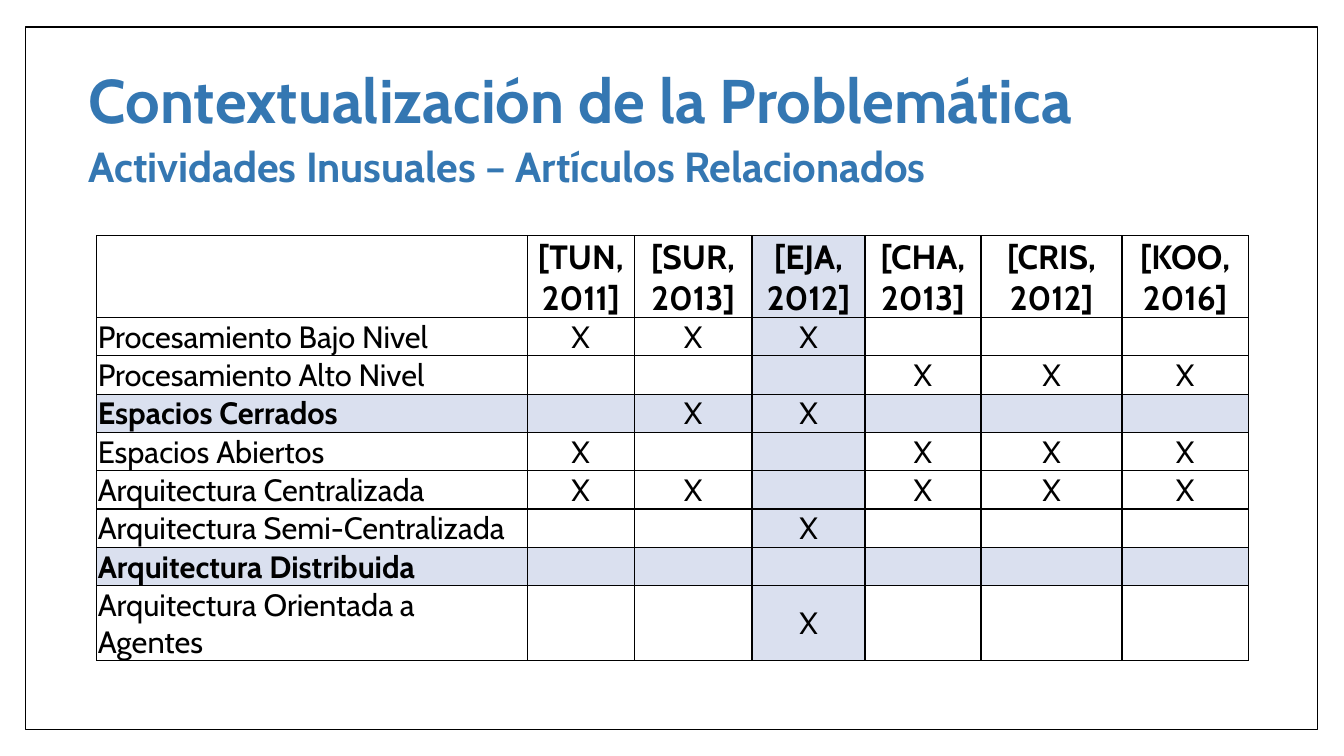
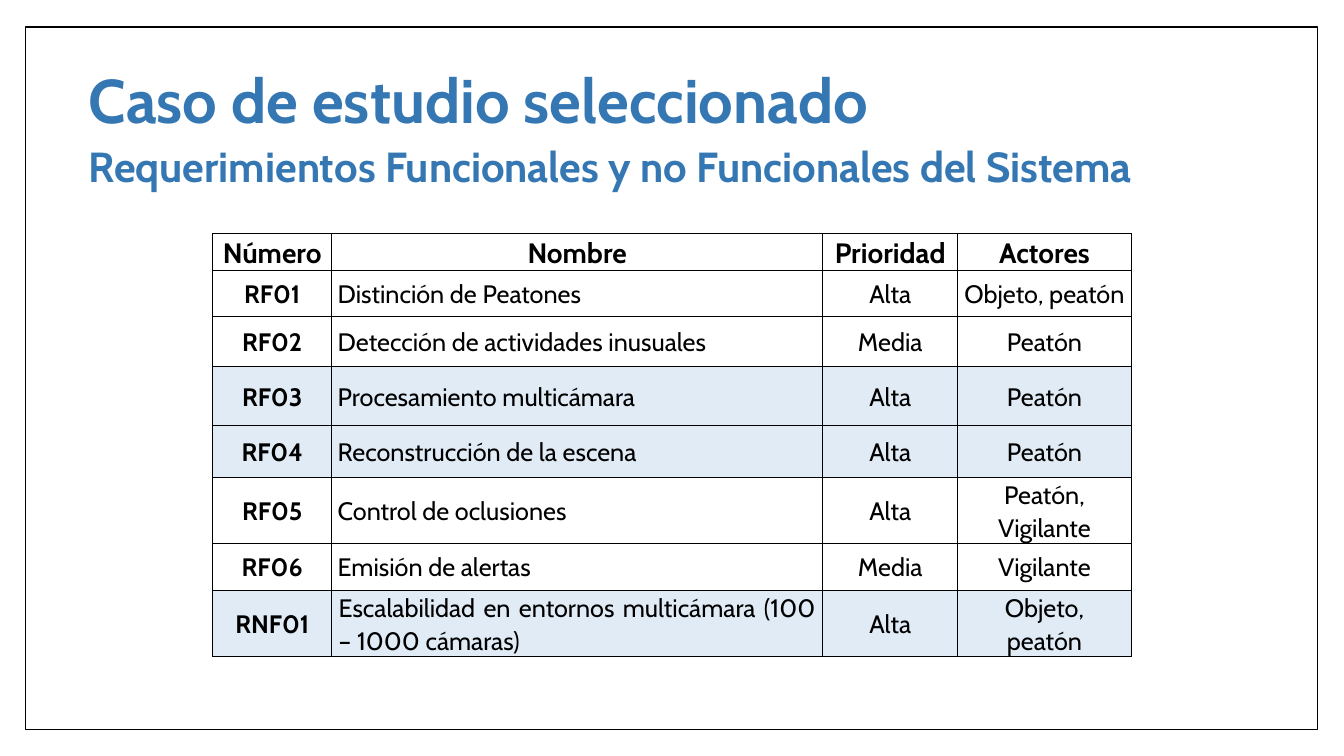
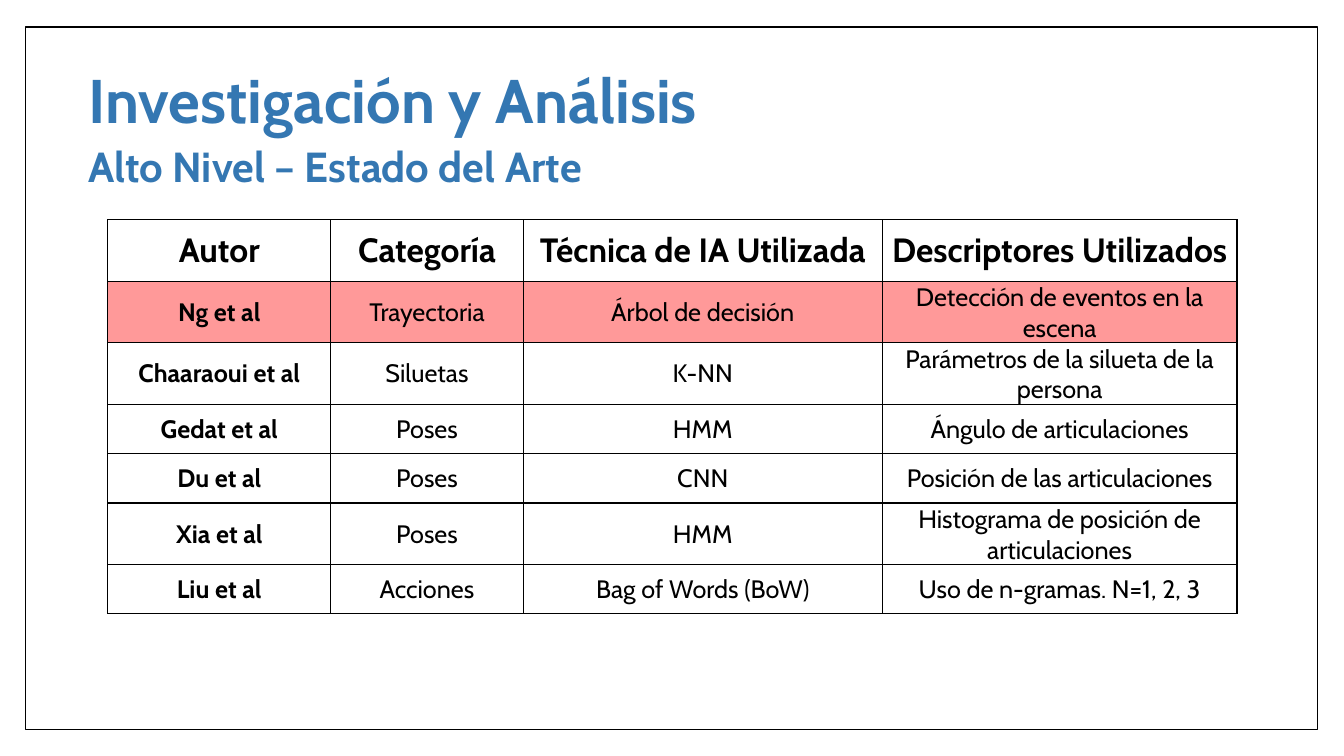
from lxml.etree import SubElement
from pptx import Presentation
from pptx.dml.color import RGBColor
from pptx.enum.shapes import MSO_SHAPE
from pptx.enum.text import MSO_ANCHOR, MSO_AUTO_SIZE, PP_ALIGN
from pptx.oxml.ns import qn
from pptx.util import Inches, Pt

FONT = "Cabin"
BLUE, BLACK, WHITE = "3477B2", "000000", "FFFFFF"
LEFT, CENTER, JUSTIFY = PP_ALIGN.LEFT, PP_ALIGN.CENTER, PP_ALIGN.JUSTIFY
TIGHT = dict(margin_left=0.01, margin_right=0.01, margin_top=0.01, margin_bottom=0)
ROOMY = dict(margin_left=0.06, margin_right=0.06, margin_top=0, margin_bottom=0)

ARTICLES = ["[TUN, 2011]", "[SUR, 2013]", "[EJA, 2012]", "[CHA, 2013]", "[CRIS, 2012]", "[KOO, 2016]"]
FEATURES = [
    ("Procesamiento Bajo Nivel", "XXX---"),
    ("Procesamiento Alto Nivel", "---XXX"),
    ("Espacios Cerrados", "-XX---"),
    ("Espacios Abiertos", "X--XXX"),
    ("Arquitectura Centralizada", "XX-XXX"),
    ("Arquitectura Semi-Centralizada", "--X---"),
    ("Arquitectura Distribuida", "------"),
    ("Arquitectura Orientada a Agentes", "--X---"),
]
REQUIREMENTS = [
    ("Número", "Nombre", "Prioridad", "Actores"),
    ("RF01", "Distinción de Peatones", "Alta", "Objeto, peatón"),
    ("RF02", "Detección de actividades inusuales", "Media", "Peatón"),
    ("RF03", "Procesamiento multicámara", "Alta", "Peatón"),
    ("RF04", "Reconstrucción de la escena", "Alta", "Peatón"),
    ("RF05", "Control de oclusiones", "Alta", "Peatón, Vigilante"),
    ("RF06", "Emisión de alertas", "Media", "Vigilante"),
    ("RNF01", "Escalabilidad en entornos multicámara (100 – 1000 cámaras)", "Alta", "Objeto, peatón"),
]
AUTHORS = [
    ("Autor", "Categoría", "Técnica de IA Utilizada", "Descriptores Utilizados"),
    ("Ng et al", "Trayectoria", "Árbol de decisión", "Detección de eventos en la escena"),
    ("Chaaraoui et al", "Siluetas", "K-NN", "Parámetros de la silueta de la persona"),
    ("Gedat et al", "Poses", "HMM", "Ángulo de articulaciones"),
    ("Du et al", "Poses", "CNN", "Posición de las articulaciones"),
    ("Xia et al", "Poses", "HMM", "Histograma de posición de articulaciones"),
    ("Liu et al", "Acciones", "Bag of Words (BoW)", "Uso de n-gramas. N=1, 2, 3"),
]

SLIDES = [
    dict(title="Contextualización de la Problemática",
         subtitle="Actividades Inusuales – Artículos Relacionados", subtitle_width=10.33,
         rows=[["", *ARTICLES]] + [[name, *marks.replace("-", " ")] for name, marks in FEATURES],
         corner=(0.96, 2.34), widths=[4.27, 1.06, 1.17, 1.12, 1.15, 1.4, 1.25],
         heights=[0.81] + [0.38] * 7 + [0.42], sizes=(24, 22), margins=TIGHT, spacing=1.0,
         header_anchor=MSO_ANCHOR.MIDDLE, left_column=0, bold_column=None, bold_rows={3, 7},
         highlight="DAE0EF", lit_rows={3, 7}, lit_columns={3}, justified=set()),
    dict(title="Caso de estudio seleccionado",
         subtitle="Requerimientos Funcionales y no Funcionales del Sistema", subtitle_width=10.99,
         rows=REQUIREMENTS, corner=(2.11, 2.32), widths=[1.18, 4.87, 1.34, 1.72],
         heights=[0.36, 0.46, 0.5, 0.58, 0.52, 0.65, 0.47, 0.65], sizes=(20, 18), margins=ROOMY,
         spacing=1.07, header_anchor=MSO_ANCHOR.TOP, left_column=1, bold_column=0, bold_rows=set(),
         highlight="E0EBF6", lit_rows={3, 4, 7}, lit_columns=set(), justified={7}),
    dict(title="Investigación y Análisis",
         subtitle="Alto Nivel – Estado del Arte", subtitle_width=8.12,
         rows=AUTHORS, corner=(1.07, 2.18), widths=[2.21, 1.91, 3.56, 3.52],
         heights=[0.61] * 3 + [0.49] * 2 + [0.61, 0.49], sizes=(24, 18), margins=TIGHT, spacing=1.0,
         header_anchor=MSO_ANCHOR.MIDDLE, left_column=None, bold_column=0, bold_rows=set(),
         highlight="FF9999", lit_rows={1}, lit_columns=set(), justified=set()),
]


def color(hex_value):
    """Turn a hex string into a colour."""
    return RGBColor.from_string(hex_value)


def apply(target, values):
    """Set every attribute of a format dict."""
    for key, value in values.items():
        setattr(target, key, value)


def write(frame, text, size, ink, bold, align, spacing=1.0):
    """Put one formatted paragraph in a text frame."""
    paragraph = frame.paragraphs[0]
    apply(paragraph, dict(alignment=align, line_spacing=spacing))
    run = paragraph.add_run()
    run.text = text
    apply(run.font, dict(name=FONT, size=Pt(size), bold=bold))
    run.font.color.rgb = color(ink)


def add_frame(deck, slide):
    """Draw the page frame and move it to the master."""
    frame = slide.shapes.add_shape(MSO_SHAPE.RECTANGLE, *map(Inches, (0.25, 0.27, 12.82, 6.97)))
    frame.shadow.inherit = False
    frame.fill.solid()
    frame.fill.fore_color.rgb = color(WHITE)
    frame.line.color.rgb = color(BLACK)
    frame.line.width = Pt(1)
    frame.element.nvSpPr.cNvPr.set("id", "90")
    deck.slide_master.shapes.element.insert(2, frame.element)


def add_heading(slide, title, subtitle, subtitle_width):
    """Place the title and its subtitle."""
    heading = slide.shapes.title
    apply(heading, dict(left=Inches(0.78), top=Inches(0.29), width=Inches(10.8), height=Inches(1.48)))
    apply(heading.text_frame, dict(vertical_anchor=MSO_ANCHOR.MIDDLE, word_wrap=True,
                                   auto_size=MSO_AUTO_SIZE.NONE))
    write(heading.text_frame, title, 44, BLUE, True, LEFT, 0.9)
    box = slide.shapes.add_textbox(*map(Inches, (0.78, 1.34, subtitle_width, 0.61)))
    apply(box.text_frame, dict(word_wrap=True, auto_size=MSO_AUTO_SIZE.SHAPE_TO_FIT_TEXT))
    write(box.text_frame, subtitle, 30, BLUE, True, LEFT)


def add_borders(cell):
    """Outline a cell with thin black lines."""
    properties = cell._tc.get_or_add_tcPr()
    for side in ("a:lnL", "a:lnR", "a:lnT", "a:lnB"):
        line = SubElement(properties, qn(side), w=str(Pt(1)))
        SubElement(SubElement(line, qn("a:solidFill")), qn("a:srgbClr"), val=BLACK)


def add_grid(slide, plan):
    """Build the table that a slide plan describes."""
    rows, widths, heights = plan["rows"], plan["widths"], plan["heights"]
    table = slide.shapes.add_table(len(rows), len(widths), *map(
        Inches, (*plan["corner"], sum(widths), sum(heights)))).table
    apply(table, dict(first_row=False, horz_banding=False))
    for column, width in zip(table.columns, widths):
        column.width = Inches(width)
    for r, (values, height) in enumerate(zip(rows, heights)):
        table.rows[r].height = Inches(height)
        header = r == 0
        for c, value in enumerate(values):
            cell = table.cell(r, c)
            apply(cell, {key: Inches(inset) for key, inset in plan["margins"].items()})
            cell.vertical_anchor = plan["header_anchor"] if header else MSO_ANCHOR.MIDDLE
            if r in plan["justified"]:
                apply(cell, dict(margin_left=Inches(0.07), margin_right=Inches(0.07)))
            add_borders(cell)
            lit = r in plan["lit_rows"] or c in plan["lit_columns"]
            cell.fill.solid()
            cell.fill.fore_color.rgb = color(plan["highlight"] if lit else WHITE)
            if value.strip():
                align = CENTER
                if c == plan["left_column"] and not header:
                    align = JUSTIFY if r in plan["justified"] else LEFT
                bold = header or c == plan["bold_column"] or (c == 0 and r in plan["bold_rows"])
                write(cell.text_frame, value, plan["sizes"][0 if header else 1], BLACK, bold,
                      align, plan["spacing"])


def main():
    """Build and save the deck."""
    deck = Presentation()
    apply(deck, dict(slide_width=Inches(13.33), slide_height=Inches(7.5)))
    for index, plan in enumerate(SLIDES):
        slide = deck.slides.add_slide(deck.slide_layouts[5])
        if index == 0:
            add_frame(deck, slide)
        add_heading(slide, plan["title"], plan["subtitle"], plan["subtitle_width"])
        add_grid(slide, plan)
    deck.save("out.pptx")


if __name__ == "__main__":
    main()
